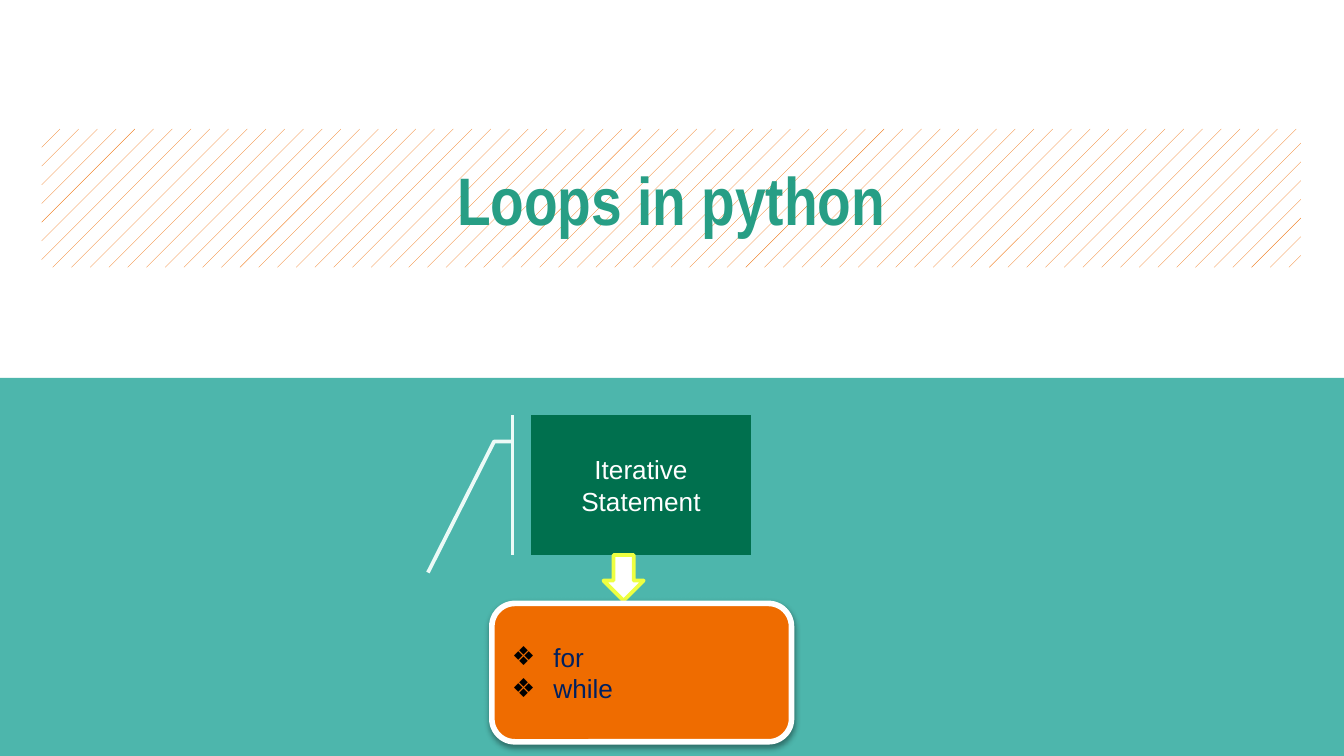
from lxml.etree import SubElement
from pptx import Presentation
from pptx.dml.color import RGBColor
from pptx.enum.dml import MSO_PATTERN
from pptx.enum.shapes import MSO_SHAPE
from pptx.enum.text import MSO_ANCHOR, PP_ALIGN
from pptx.oxml.ns import qn
from pptx.util import Inches, Pt

SLIDE_WIDTH = 10
SLIDE_HEIGHT = SLIDE_WIDTH * 9 / 16

WHITE = RGBColor(0xFF, 0xFF, 0xFF)
TEAL = RGBColor(0x4D, 0xB6, 0xAC)
TITLE_GREEN = RGBColor(0x27, 0x9E, 0x85)
DARK_GREEN = RGBColor(0x00, 0x70, 0x4E)
PALE_MINT = RGBColor(0xEC, 0xFA, 0xF7)
YELLOW = RGBColor(0xEE, 0xFF, 0x41)
ORANGE = RGBColor(0xEF, 0x6C, 0x00)
NAVY = RGBColor(0x00, 0x20, 0x60)


def format_runs(paragraph, size, color, font="Arial", bold=False):
    for run in paragraph.runs:
        run.font.name = font
        run.font.size = Pt(size)
        run.font.bold = bold
        run.font.color.rgb = color


def add_title(slide, text):
    title = slide.shapes.title
    title.left, title.top = Inches(0.31), Inches(0.96)
    title.width, title.height = Inches(9.37), Inches(1.03)
    title.fill.patterned()
    title.fill.pattern = MSO_PATTERN.PERCENT_5
    title.fill.fore_color.rgb = ORANGE
    title.fill.back_color.rgb = WHITE
    frame = title.text_frame
    frame.text = text
    frame.vertical_anchor = MSO_ANCHOR.MIDDLE
    frame.margin_left = frame.margin_right = Inches(0.1)
    frame.margin_top = frame.margin_bottom = Inches(0.1)
    frame.paragraphs[0].alignment = PP_ALIGN.CENTER
    format_runs(frame.paragraphs[0], 36, TITLE_GREEN, "Arial Narrow", True)


def add_block(slide, preset, left, top, width, height, fill, line=None, weight=2):
    block = slide.shapes.add_shape(
        preset, Inches(left), Inches(top), Inches(width), Inches(height))
    block.shadow.inherit = False
    block.fill.solid()
    block.fill.fore_color.rgb = fill
    if line is None:
        block.line.fill.background()
    else:
        block.line.color.rgb = line
        block.line.width = Pt(weight)
    return block


def write_lines(block, lines, color, alignment):
    frame = block.text_frame
    frame.text = "\n".join(lines)
    frame.word_wrap = True
    frame.vertical_anchor = MSO_ANCHOR.MIDDLE
    for paragraph in frame.paragraphs:
        paragraph.alignment = alignment
        format_runs(paragraph, 14, color)


def add_bullets(block, symbol):
    indent = Inches(0.31)
    for paragraph in block.text_frame.paragraphs:
        properties = paragraph._p.get_or_add_pPr()
        properties.set("marL", str(indent))
        properties.set("indent", str(-indent))
        bullet_color = SubElement(properties, qn("a:buClr"))
        SubElement(bullet_color, qn("a:srgbClr"), val="000000")
        SubElement(properties, qn("a:buFont"), typeface="Arial")
        SubElement(properties, qn("a:buChar"), char=symbol)


def add_soft_shadow(block):
    """Fill the block's empty effect list with a shadow straight below."""
    effects = block._element.spPr.find(qn("a:effectLst"))
    shadow = SubElement(effects, qn("a:outerShdw"), blurRad=str(Pt(3.1)),
                        dist=str(Pt(1.6)), dir="5400000", rotWithShape="0")
    color = SubElement(shadow, qn("a:srgbClr"), val="000000")
    SubElement(color, qn("a:alpha"), val="38000")


def main():
    presentation = Presentation()
    presentation.slide_width = Inches(SLIDE_WIDTH)
    presentation.slide_height = Inches(SLIDE_HEIGHT)
    slide = presentation.slides.add_slide(presentation.slide_layouts[5])

    half = SLIDE_HEIGHT / 2
    add_block(slide, MSO_SHAPE.RECTANGLE, 0, half, SLIDE_WIDTH, half, TEAL)
    add_title(slide, "Loops in python")

    statement = add_block(slide, MSO_SHAPE.LINE_CALLOUT_2_ACCENT_BAR,
                          3.95, 3.09, 1.64, 1.04, DARK_GREEN, PALE_MINT)
    write_lines(statement, ["Iterative Statement"], WHITE, PP_ALIGN.CENTER)

    add_block(slide, MSO_SHAPE.DOWN_ARROW, 4.49, 4.13, 0.3, 0.34, WHITE, YELLOW)

    loops = add_block(slide, MSO_SHAPE.ROUNDED_RECTANGLE,
                      3.66, 4.49, 2.23, 1.03, ORANGE, WHITE, 3)
    add_soft_shadow(loops)
    write_lines(loops, ["for", "while"], NAVY, PP_ALIGN.LEFT)
    add_bullets(loops, "❖")

    presentation.save("out.pptx")


if __name__ == "__main__":
    main()
